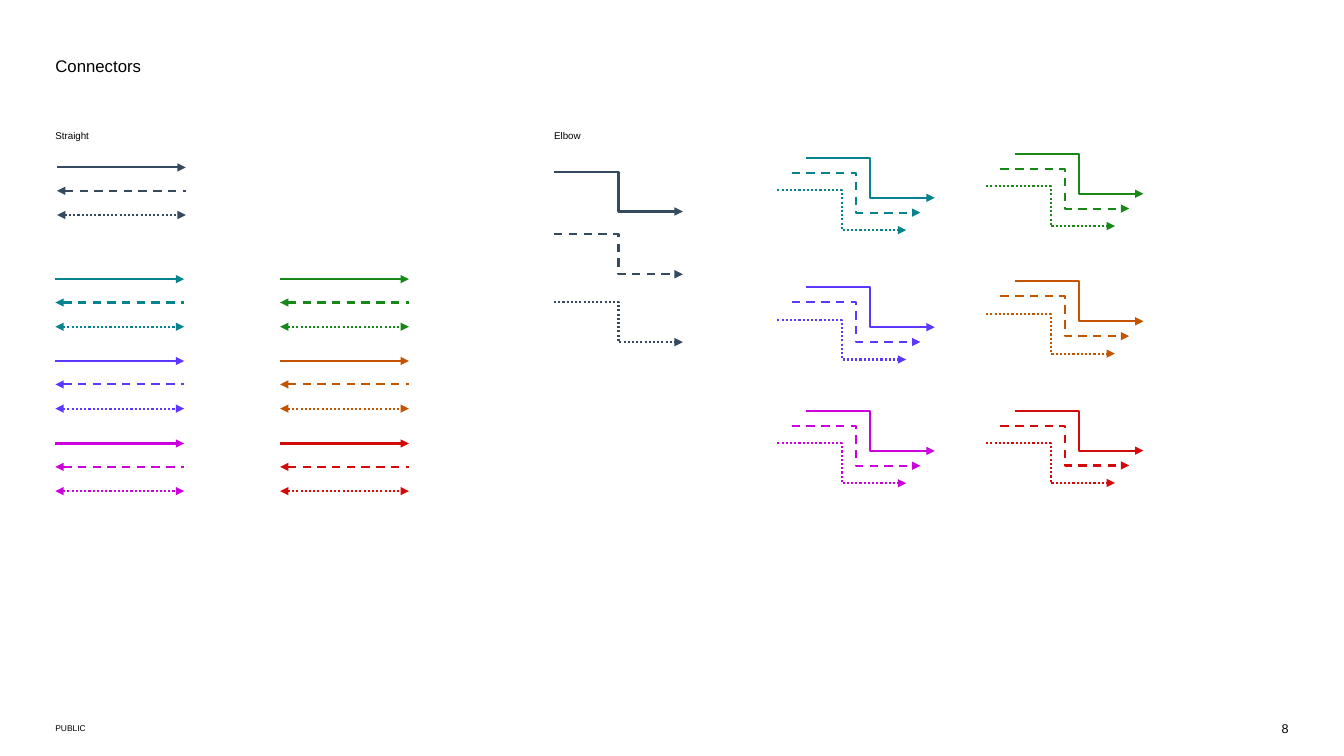
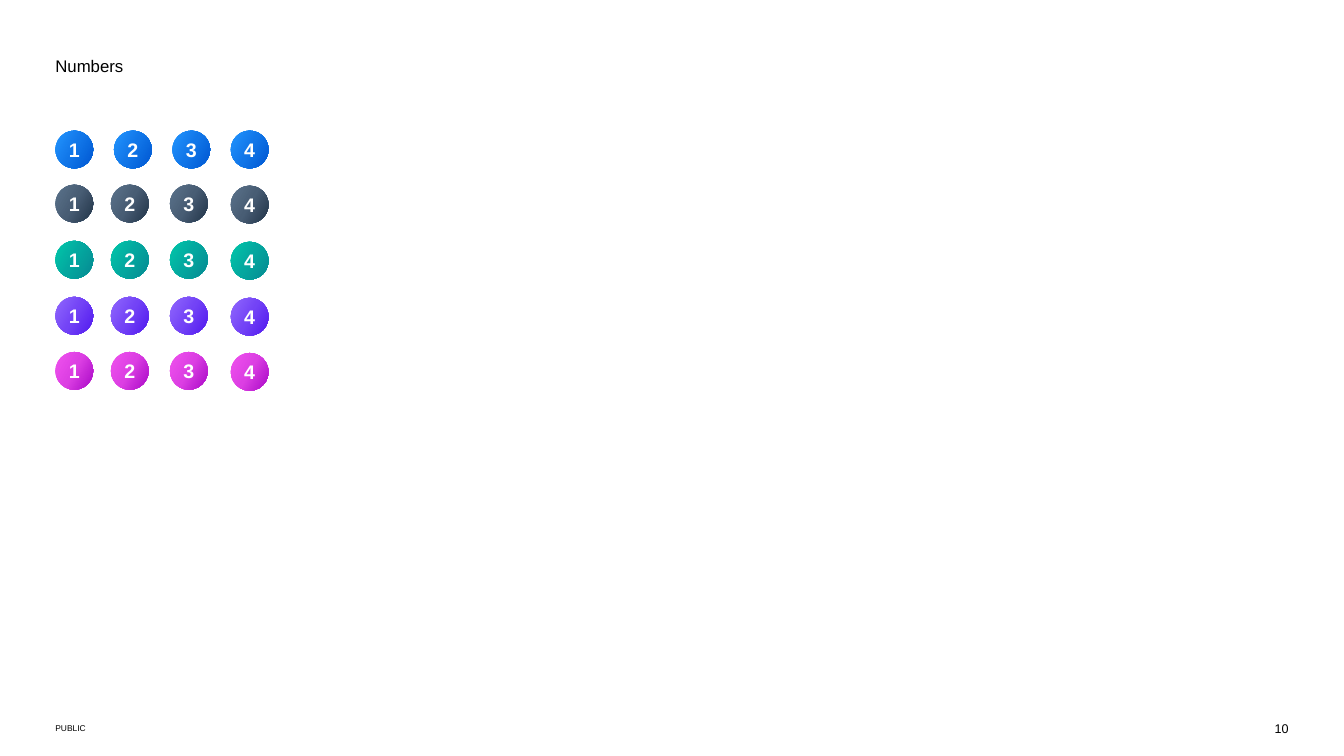
import copy
import itertools

import pptx
import pptx.dml.color
import pptx.enum.dml
import pptx.enum.shapes
import pptx.enum.text
import pptx.oxml.ns
import pptx.util
from lxml import etree

Pt = pptx.util.Pt
qn = pptx.oxml.ns.qn
KIND = pptx.enum.shapes.MSO_CONNECTOR
ALIGN = pptx.enum.text.PP_ALIGN
MIDDLE = pptx.enum.text.MSO_ANCHOR.MIDDLE

SOLID = pptx.enum.dml.MSO_LINE.SOLID
DASH = pptx.enum.dml.MSO_LINE.DASH
DOT = pptx.enum.dml.MSO_LINE.ROUND_DOT

SLATE, TEAL, VIOLET, PINK = "354A5F", "07838F", "5D36FF", "CC00DC"
GREEN, ORANGE, RED = "188918", "C35500", "D20A0A"

LEFT = 39.6
MID = 396
SPAN = 92
DROP = 28.5
DISC = 27


def rgb(code):
    return pptx.dml.color.RGBColor.from_string(code)


class Deck:
    font = "Arial"
    ink = "000000"
    white = "FFFFFF"
    weight = 1.5

    def __init__(self):
        self.file = pptx.Presentation()
        self.file.slide_width = Pt(960.48)
        self.file.slide_height = Pt(540)
        self.slide = None

    def page(self, title, number):
        """Start a slide with its title and footer."""
        self.slide = self.file.slides.add_slide(self.file.slide_layouts[6])
        self.text(title, LEFT, 39.6, 880.6, 14.4, 12)
        self.text("PUBLIC", LEFT, 514.8, 800, 10.8, 6, anchor=MIDDLE)
        self.text(number, 909.4, 514.8, 11.5, 10.8, 9, ALIGN.RIGHT)

    def text(self, words, x, y, w, h, size, align=ALIGN.LEFT, anchor=None):
        box = self.slide.shapes.add_textbox(Pt(x), Pt(y), Pt(w), Pt(h))
        self.label(box.text_frame, words, size, self.ink, align, anchor)

    def label(self, frame, words, size, color, align, anchor, bold=False):
        """Fill a text frame with one styled line."""
        frame.text = words
        frame.word_wrap = True
        frame.margin_left = frame.margin_right = 0
        frame.margin_top = frame.margin_bottom = 0
        if anchor is not None:
            frame.vertical_anchor = anchor
        para = frame.paragraphs[0]
        para.alignment = align
        font = para.runs[0].font
        font.name = self.font
        font.size = Pt(size)
        font.bold = bold
        font.color.rgb = rgb(color)

    def arrow(self, kind, x, y, drop, color, dash, ends):
        """Draw a connector; ends names the arrowed ends, headEnd first."""
        link = self.slide.shapes.add_connector(
            kind, Pt(x), Pt(y), Pt(x + SPAN), Pt(y + drop))
        link.line.color.rgb = rgb(color)
        link.line.width = Pt(self.weight)
        link.line.dash_style = dash
        props = link._element.spPr
        for end in ends:
            etree.SubElement(props.find(qn("a:ln")), qn("a:" + end), type="triangle")
        etree.SubElement(props, qn("a:effectLst"))

    def straights(self, x, y, color):
        """Draw the solid, dashed and dotted straight arrows of one colour."""
        styles = ((0, SOLID, ["tailEnd"]), (16.7, DASH, ["headEnd"]),
                  (34, DOT, ["headEnd", "tailEnd"]))
        for down, dash, ends in styles:
            self.arrow(KIND.STRAIGHT, x, y + down, 0, color, dash, ends)

    def elbows(self, x, y, color, step=10.2, downs=(0, 10.6, 23.1)):
        """Draw three elbow arrows, each one step further left."""
        for i, (down, dash) in enumerate(zip(downs, (SOLID, DASH, DOT))):
            self.arrow(KIND.ELBOW, x - i * step, y + down, DROP, color, dash, ["tailEnd"])

    def disc(self, words, x, y, shades):
        oval = self.slide.shapes.add_shape(
            pptx.enum.shapes.MSO_SHAPE.OVAL, Pt(x), Pt(y), Pt(DISC), Pt(DISC))
        oval.shadow.inherit = False
        oval.line.fill.background()
        oval.fill.gradient()
        oval.fill.gradient_angle = 330
        stops = oval._element.spPr.find(".//" + qn("a:gsLst"))
        stops.insert(1, copy.deepcopy(stops[0]))
        for stop, place, shade in zip(oval.fill.gradient_stops, (0, 0.5, 1), shades):
            stop.position = place
            stop.color.rgb = rgb(shade)
        self.label(oval.text_frame, words, 14, self.white, ALIGN.CENTER, MIDDLE, True)


def links(deck):
    deck.page("Connectors", "8")
    for label, x in (("Straight", LEFT), ("Elbow", MID)):
        deck.text(label, x, 92.9, 30.2, 8.6, 7)

    deck.straights(40.8, 119.6, SLATE)
    columns = ((LEFT, (TEAL, VIOLET, PINK)), (200.2, (GREEN, ORANGE, RED)))
    for x, colors in columns:
        for y, color in zip((199.4, 257.9, 316.8), colors):
            deck.straights(x, y, color)

    deck.elbows(MID, 122.6, SLATE, 0, (0, 44.8, 93.3))
    groups = ((576, 112.8, TEAL), (576, 205.2, VIOLET), (576, 293.6, PINK),
              (725.2, 109.9, GREEN), (725.2, 201, ORANGE), (725.2, 293.4, RED))
    for group in groups:
        deck.elbows(*group)


def numbers(deck):
    deck.page("Numbers", "10")
    even = (LEFT, 81.4, 123.2, 164.9)
    tight = (LEFT, 79.2, 121.4, 164.9)
    rows = (
        (93.3, even, 0, ("2395FF", "1176E8", "0057D2")),
        (131.9, tight, 0.7, ("5B738B", "485D74", "223448")),
        (172, tight, 0.7, ("00C8AA", "04A79F", "068A92")),
        (212, tight, 0.7, ("9169FD", "7343F6", "5119EF")),
        (251.4, tight, 0.7, ("F052EE", "DC3FE3", "A909C7")),
    )
    for (y, spots, dip, shades), i in itertools.product(rows, range(4)):
        deck.disc(str(i + 1), spots[i], y + dip * (i == 3), shades)


def main():
    deck = Deck()
    links(deck)
    numbers(deck)
    deck.file.save("out.pptx")


if __name__ == "__main__":
    main()
